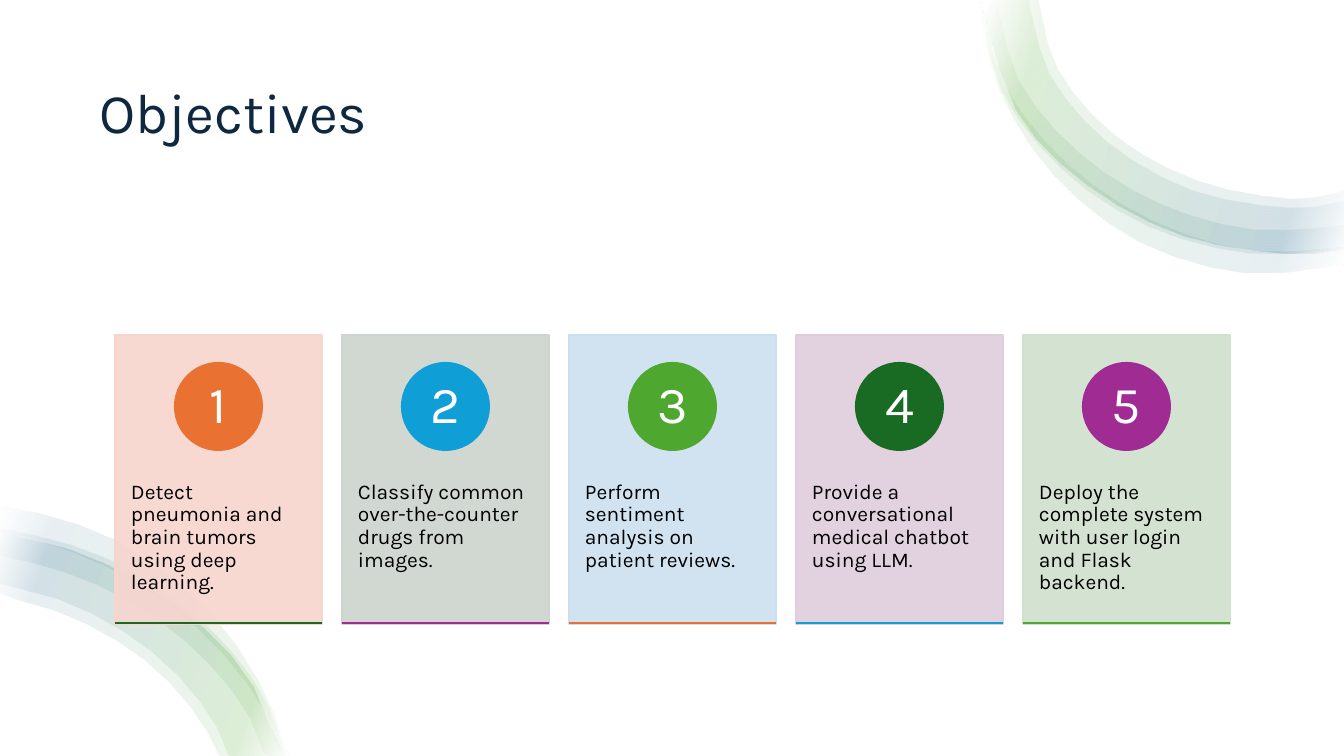
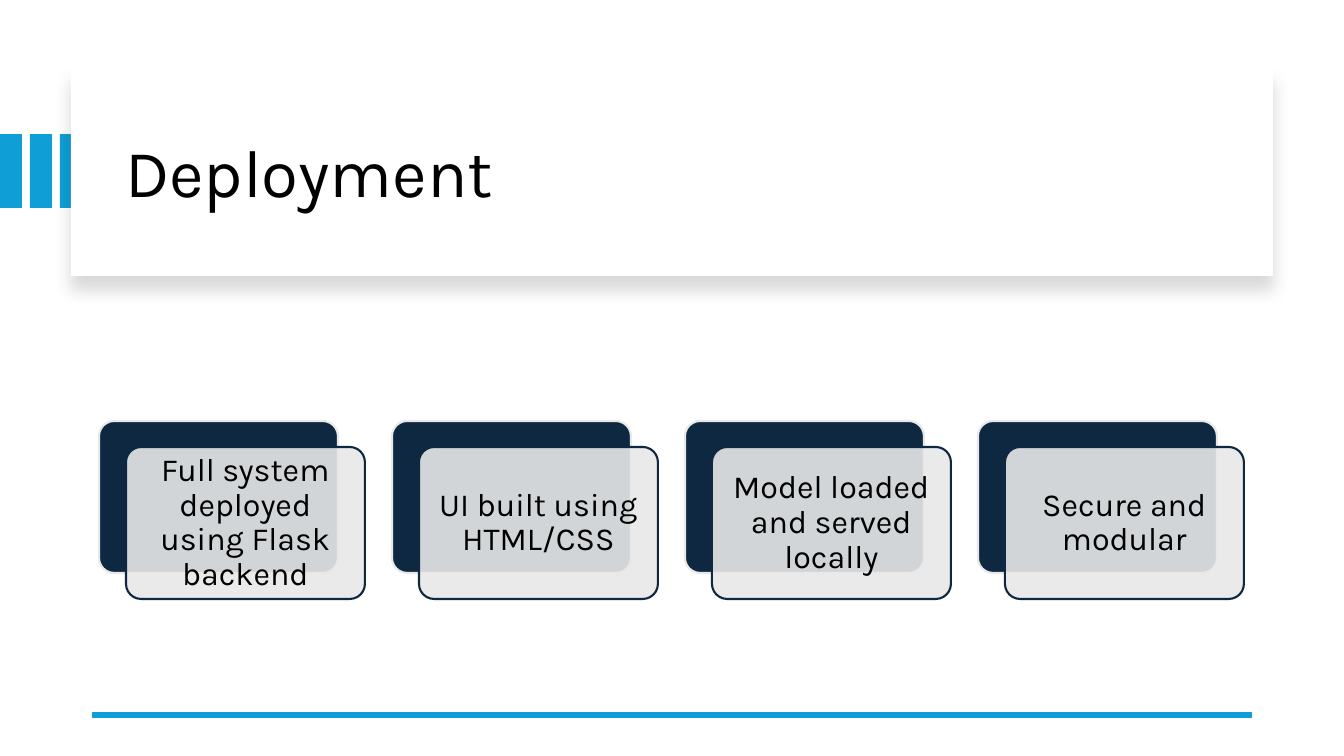
from lxml.etree import SubElement
from pptx import Presentation
from pptx.dml.color import RGBColor
from pptx.enum.shapes import MSO_CONNECTOR, MSO_SHAPE
from pptx.enum.text import MSO_ANCHOR, PP_ALIGN
from pptx.oxml import parse_xml
from pptx.oxml.ns import nsdecls, qn
from pptx.util import Emu, Pt

FONT = "Karla"
TITLE_ONLY = 5
SLIDE_W, SLIDE_H = 1344, 756
COLORS = {
    "white": "FFFFFF", "black": "000000", "navy": "0E2841", "grey": "E8E8E8",
    "orange": "E97132", "blue": "0F9ED5", "lime": "4EA72E", "green": "196B24",
    "purple": "A02B93", "teal": "156082", "peach": "F7D5CE", "sage": "CCD4CD",
    "sky": "CCDFEF", "mauve": "DFCDDC", "mint": "D0E1CD",
}
OBJECTIVES = [
    ("Detect pneumonia and brain tumors using deep learning.", "peach", "orange", "green"),
    ("Classify common over-the-counter drugs from images.", "sage", "blue", "purple"),
    ("Perform sentiment analysis on patient reviews.", "sky", "lime", "orange"),
    ("Provide a conversational medical chatbot using LLM.", "mauve", "green", "blue"),
    ("Deploy the complete system with user login and Flask backend.", "mint", "purple", "lime"),
]
DEPLOYMENT = [
    "Full system deployed using Flask backend",
    "UI built using HTML/CSS",
    "Model loaded and served locally",
    "Secure and modular",
]
RING_EDGE = [(981, -1), (1017, 111), (1088, 185), (1183, 235), (1289, 253), (1345, 247)]
SWOOSH_BANDS = [
    (RING_EDGE, [(1039, -1), (1058, 69), (1115, 135), (1197, 180), (1289, 198), (1345, 190)]),
    (RING_EDGE, [(1029, -1), (1050, 74), (1108, 142), (1193, 190), (1289, 207), (1345, 200)]),
    ([(981, -1), (1002, 90), (1062, 169), (1148, 226), (1249, 253), (1345, 248)],
     [(997, -1), (1020, 82), (1080, 153), (1159, 203), (1252, 229), (1345, 225)]),
    ([(979, -1), (999, 88), (1054, 175), (1140, 242), (1246, 273), (1345, 264)],
     [(982, -1), (1005, 85), (1068, 164), (1152, 220), (1249, 250), (1345, 247)]),
]


def px(length):
    """Turn pixels into EMU."""
    return Emu(round(length * 914400 / 100.8))


def rgb(name):
    """Look up a palette colour."""
    return RGBColor.from_string(COLORS[name])


def set_fill_alpha(shape, percent):
    """Make a shape's solid fill translucent."""
    color = shape._element.spPr.find(qn("a:solidFill"))[0]
    SubElement(color, qn("a:alpha")).set("val", str(percent * 1000))


def write(shape, text, size, color, align=PP_ALIGN.LEFT, anchor=MSO_ANCHOR.MIDDLE, insets=None):
    """Put one formatted paragraph in a shape."""
    frame = shape.text_frame
    frame.text = text
    frame.word_wrap = True
    frame.vertical_anchor = anchor
    if insets:
        frame.margin_left = frame.margin_right = px(insets[0])
        frame.margin_top, frame.margin_bottom = px(insets[1]), px(insets[2])
    paragraph = frame.paragraphs[0]
    paragraph.alignment = align
    paragraph.line_spacing = 0.9
    paragraph.font.name = FONT
    paragraph.font.size = Pt(size)
    paragraph.font.color.rgb = rgb(color)


def add_block(slide, kind, box, fill, outline=None):
    """Add a plain preset shape with an optional outline."""
    block = slide.shapes.add_shape(kind, *map(px, box))
    block.shadow.inherit = False
    block.fill.solid()
    block.fill.fore_color.rgb = rgb(fill)
    if outline:
        block.line.color.rgb = rgb(outline)
        block.line.width = Pt(1.5)
    else:
        block.line.fill.background()
    return block


def add_rule(slide, left, right, y, color, weight):
    """Add a horizontal line."""
    rule = slide.shapes.add_connector(MSO_CONNECTOR.STRAIGHT, px(left), px(y), px(right), px(y))
    rule.line.color.rgb = rgb(color)
    rule.line.width = Pt(weight)
    SubElement(rule._element.spPr, qn("a:effectLst"))


def add_title(slide, text, box, size, color):
    """Format the title placeholder and bring it to the front."""
    title = slide.shapes.title
    title.left, title.top, title.width, title.height = map(px, box)
    write(title, text, size, color)
    slide.shapes._spTree.append(title._element)


def smooth(knots, steps=3):
    """Sample a Catmull-Rom curve through the knots."""
    padded = [knots[0], *knots, knots[-1]]
    points = []
    for corners in zip(padded, padded[1:], padded[2:], padded[3:]):
        for step in range(steps):
            t = step / steps
            points.append([
                q + (t * (r - p) + t ** 2 * (2 * p - 5 * q + 4 * r - s)
                     + t ** 3 * (3 * (q - r) + s - p)) / 2
                for p, q, r, s in zip(*corners)])
    return points + [knots[-1]]


def add_swoosh(slide, angle, place):
    """Add translucent curved bands, clipped to the slide."""
    stops = "".join(
        f'<a:gs pos="{position * 1000}"><a:srgbClr val="{COLORS[name]}">'
        '<a:alpha val="10000"/></a:srgbClr></a:gs>'
        for position, name in [(2, "white"), (16, "lime"), (85, "teal"), (100, "white")])
    for outer, inner in SWOOSH_BANDS:
        outline = [place(x, y) for x, y in smooth(outer) + smooth(inner)[::-1]]
        outline = [(px(min(max(x, 0), SLIDE_W)), px(min(max(y, 0), SLIDE_H))) for x, y in outline]
        builder = slide.shapes.build_freeform(*outline[0])
        builder.add_line_segments(outline[1:])
        band = builder.convert_to_shape()
        band.shadow.inherit = False
        band.line.fill.background()
        band._element.spPr.find(qn("a:custGeom")).addnext(parse_xml(
            f'<a:gradFill {nsdecls("a")} rotWithShape="1"><a:gsLst>{stops}</a:gsLst>'
            f'<a:lin ang="{angle * 60000}" scaled="0"/></a:gradFill>'))


def add_objective(slide, index, text, tint, badge_color, rule_color):
    """Add one numbered card."""
    left, width = 115 + 227 * index, 207
    card = add_block(slide, MSO_SHAPE.RECTANGLE, (left, 335, width, 289), tint, tint)
    set_fill_alpha(card, 90)
    write(card, text, 15, "black", anchor=MSO_ANCHOR.TOP, insets=(16, 146, 0))
    badge = add_block(slide, MSO_SHAPE.OVAL, (left + 60, 363, 87, 87), badge_color, badge_color)
    write(badge, str(index + 1), 37, "white", PP_ALIGN.CENTER, insets=(0, 0, 0))
    add_rule(slide, left, left + width, 623, rule_color, 1.5)


def add_deployment_step(slide, index, text):
    """Add a dark tile with a translucent text tile over it."""
    left, top, width, height = 99 + 293 * index, 421, 239, 152
    back = add_block(slide, MSO_SHAPE.ROUNDED_RECTANGLE, (left, top, width, height), "navy", "grey")
    front = add_block(slide, MSO_SHAPE.ROUNDED_RECTANGLE,
                      (left + 27, top + 26, width, height), "grey", "navy")
    for tile in (back, front):
        tile.adjustments[0] = 0.1
    set_fill_alpha(front, 90)
    write(front, text, 23, "black", PP_ALIGN.CENTER, insets=(10, 10, 10))


def add_title_panel(slide):
    """Add the blue bars and the raised white title panel."""
    for index in range(3):
        add_block(slide, MSO_SHAPE.RECTANGLE, (30 * index, 134, 22, 74), "blue")
    panel = add_block(slide, MSO_SHAPE.RECTANGLE, (71, 68, 1202, 208), "white")
    panel._element.spPr.find(qn("a:effectLst")).append(parse_xml(
        f'<a:outerShdw {nsdecls("a")} blurRad="{int(Pt(11))}" dist="{int(Pt(10))}" dir="5400000" '
        f'algn="t" rotWithShape="0"><a:srgbClr val="{COLORS["black"]}">'
        '<a:alpha val="15000"/></a:srgbClr></a:outerShdw>'))


def build_objectives(deck):
    """Build the objectives slide."""
    slide = deck.slides.add_slide(deck.slide_layouts[TITLE_ONLY])
    add_swoosh(slide, 20, lambda x, y: (x, y))
    add_swoosh(slide, 200, lambda x, y: (1382 - 1.11 * x, 810 - 1.11 * y))
    add_title(slide, "Objectives", (89, 50, 1166, 131), 40, "navy")
    for index, objective in enumerate(OBJECTIVES):
        add_objective(slide, index, *objective)


def build_deployment(deck):
    """Build the deployment slide."""
    slide = deck.slides.add_slide(deck.slide_layouts[TITLE_ONLY])
    add_title_panel(slide)
    add_title(slide, "Deployment", (115, 90, 1122, 171), 48, "black")
    add_rule(slide, 92, 1252, 715, "blue", 4.5)
    for index, text in enumerate(DEPLOYMENT):
        add_deployment_step(slide, index, text)


def main():
    """Build and save the deck."""
    deck = Presentation()
    deck.slide_width, deck.slide_height = px(SLIDE_W), px(SLIDE_H)
    build_objectives(deck)
    build_deployment(deck)
    deck.save("out.pptx")


if __name__ == "__main__":
    main()
